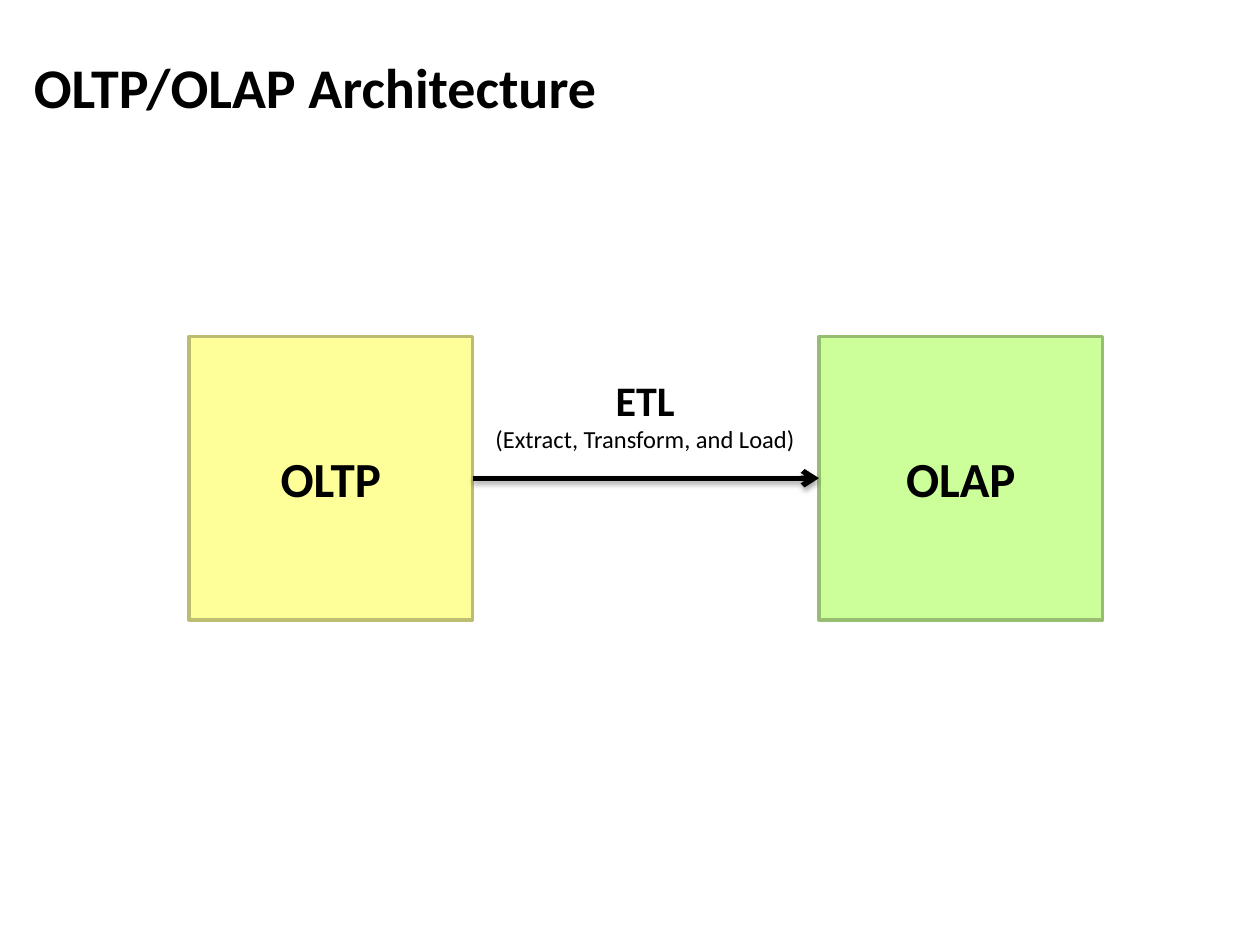
from lxml import etree
from pptx import Presentation
from pptx.dml.color import RGBColor as RGB
from pptx.enum.shapes import MSO_CONNECTOR as LINK, MSO_SHAPE as SHAPE
from pptx.enum.text import MSO_ANCHOR as ANCHOR, MSO_AUTO_SIZE as FIT, PP_ALIGN as ALIGN
from pptx.oxml import parse_xml
from pptx.oxml.ns import nsdecls, qn
from pptx.util import Inches, Pt

SHADOW = (
    f'<a:effectLst {nsdecls("a")}>'
    '<a:outerShdw blurRad="40000" dist="23000" dir="5400000" rotWithShape="0">'
    '<a:srgbClr val="000000"><a:alpha val="35000"/></a:srgbClr>'
    '</a:outerShdw></a:effectLst>'
)


def paint(part, color):
    """Give a fill a solid hex colour."""
    part.solid()
    part.fore_color.rgb = RGB.from_string(color)


def style(obj, **values):
    """Set attributes from a dict of format values."""
    for key, value in values.items():
        setattr(obj, key, value)


def write(frame, runs, align, **form):
    """Write runs of text, size and weight, one to a line."""
    style(frame, word_wrap=True, **form)
    para = frame.paragraphs[0]
    para.alignment = align
    for row, (text, size, bold) in enumerate(runs):
        if row:
            para.add_line_break()
        run = para.add_run()
        run.text = text
        style(run.font, name="Calibri", size=Pt(size), bold=bold)
        paint(run.font.fill, "000000")


def add_text(slide, place, runs, align, **form):
    """Add a text box."""
    box = slide.shapes.add_textbox(*map(Inches, place))
    write(box.text_frame, runs, align, **form)


def add_store(slide, left, name, fill, edge):
    """Add a square that stands for a data store."""
    box = slide.shapes.add_shape(SHAPE.RECTANGLE, *map(Inches, (left, 2.67, 2.25, 2.25)))
    box.shadow.inherit = False
    paint(box.fill, fill)
    paint(box.line.fill, edge)
    box.line.width = Pt(2)
    write(box.text_frame, [(name, 28, True)], ALIGN.CENTER, vertical_anchor=ANCHOR.MIDDLE)
    return box


def add_arrow(slide, start, end):
    """Join two squares from right side to left side with an arrow."""
    link = slide.shapes.add_connector(LINK.STRAIGHT, 0, 0, 0, 0)
    link.begin_connect(start, 3)
    link.end_connect(end, 1)
    paint(link.line.fill, "000000")
    link.line.width = Pt(3)
    edge = link.line._get_or_add_ln()
    etree.SubElement(edge, qn("a:tailEnd"), type="arrow")
    edge.addnext(parse_xml(SHADOW))


def main():
    """Build the slide and save it."""
    deck = Presentation()
    style(deck, slide_width=Inches(10), slide_height=Inches(7.5))
    slide = deck.slides.add_slide(deck.slide_layouts[6])
    add_text(slide, (0.17, 0.12, 9.5, 1.12), [("OLTP/OLAP Architecture", 32, True)],
             ALIGN.LEFT, vertical_anchor=ANCHOR.MIDDLE)
    oltp = add_store(slide, 1.5, "OLTP", "FFFF99", "BDBD71")
    olap = add_store(slide, 6.5, "OLAP", "CCFF99", "97BD71")
    add_arrow(slide, oltp, olap)
    add_text(slide, (3.58, 2.92, 3.08, 0.74),
             [("ETL", 24, True), ("(Extract, Transform, and Load)", 14, False)],
             ALIGN.CENTER, auto_size=FIT.SHAPE_TO_FIT_TEXT)
    deck.save("out.pptx")


if __name__ == "__main__":
    main()
